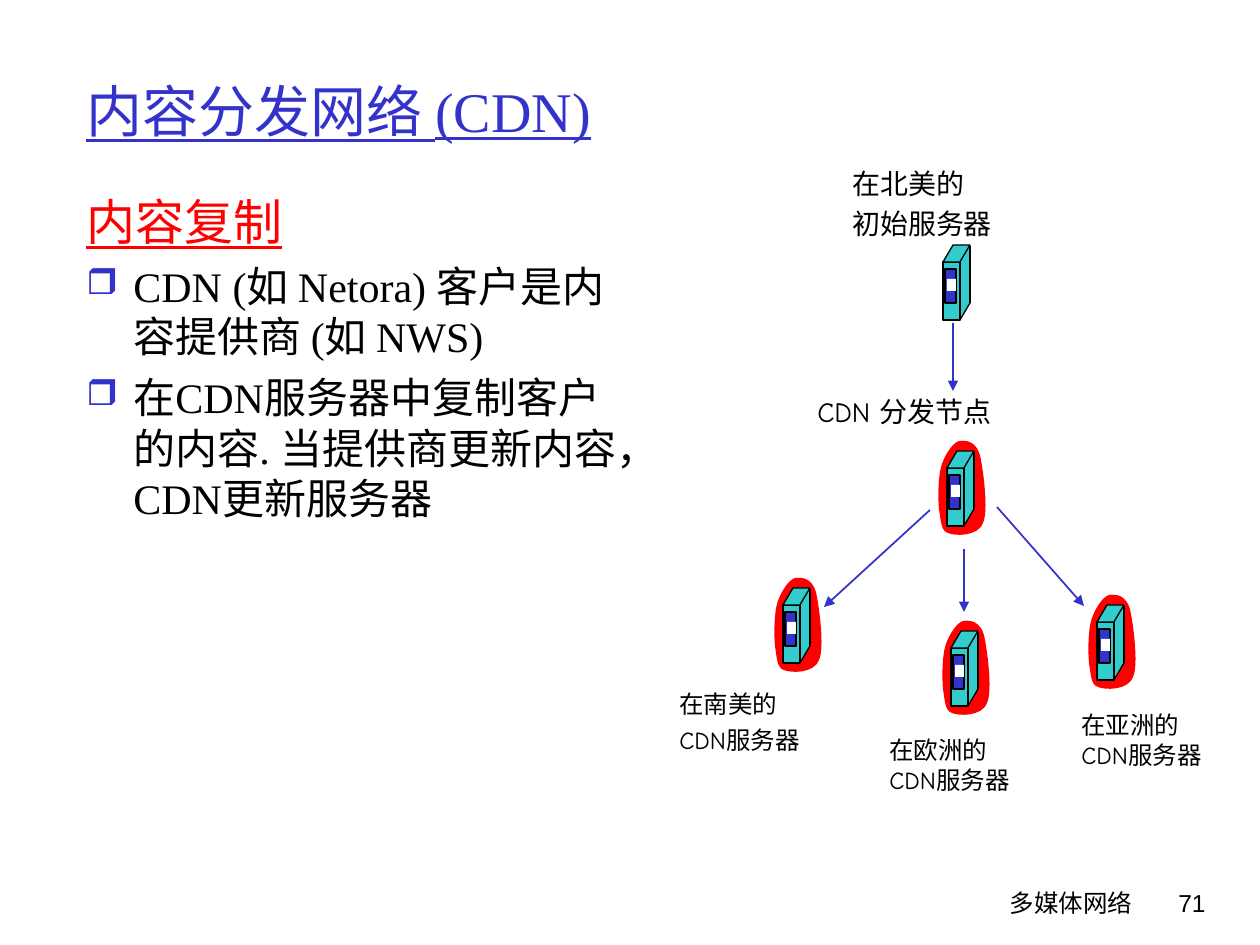
import pptx
import pptx.dml.color
import pptx.enum.shapes
import pptx.enum.text
import pptx.oxml.ns
import pptx.util
from lxml import etree

EMU_PER_PX = 914400 / 126
BLUE, TEAL, RED, BLACK, WHITE = "3333CC", "33CCCC", "FF0000", "000000", "FFFFFF"
SERIF, SANS, COMIC = "Times New Roman", "Arial", "Comic Neue"
RECTANGLE = pptx.enum.shapes.MSO_SHAPE.RECTANGLE
PARALLELOGRAM = pptx.enum.shapes.MSO_SHAPE.PARALLELOGRAM

TITLE = "内容分发网络 (CDN)"
HEADING = "内容复制"
BULLETS = [
    "CDN (如 Netora) 客户是内容提供商 (如 NWS)",
    "在CDN服务器中复制客户的内容. 当提供商更新内容，CDN更新服务器",
]
BULLET_INDENT = 47
FOOTERS = [("多媒体网络", COMIC, (613, 882, 532, 63)), ("71", SANS, (1125, 882, 93, 63))]

# lines, box, size in points, space before in points
LABELS = [
    (["在北美的", "初始服务器"], (840, 160, 175, 87), 16, 4),
    (["CDN 分发节点"], (805, 388, 215, 47), 16, 4),
    (["在南美的", "CDN服务器"], (667, 683, 161, 113), 14, 3.5),
    (["在欧洲的", "CDN服务器"], (877, 729, 161, 72), 14, 0),
    (["在亚洲的", "CDN服务器"], (1069, 704, 161, 72), 14, 0),
]

# left, top, inside the CDN
SERVERS = [
    (943, 245, False),
    (947, 451, True),
    (783, 588, True),
    (951, 631, True),
    (1097, 605, True),
]
# shape, box relative to the server, fill, outlined
SERVER_PARTS = [
    (PARALLELOGRAM, (0, 58, 27, 17), TEAL, False),
    (RECTANGLE, (14, 0, 13, 58), TEAL, False),
    (RECTANGLE, (0, 17, 17, 58), TEAL, True),
    (PARALLELOGRAM, (0, 0, 27, 17), TEAL, True),
    (RECTANGLE, (2, 24, 11, 34), BLUE, True),
    (RECTANGLE, (4, 34, 9, 12), WHITE, False),
]
SERVER_EDGES = [(27, 1, 27, 58), (27, 58, 17, 75)]
HALO_OFFSET = (-9, -11)
HALO_START = (4, 24)
# two control points and the end of each curve
HALO_CURVES = [
    ((8, 13), (15, 3), (21, 1)),
    ((28, 0), (38, 1), (42, 15)),
    ((45, 28), (51, 71), (45, 83)),
    ((40, 97), (16, 96), (10, 93)),
    ((3, 91), (3, 81), (1, 69)),
    ((0, 58), (0, 35), (4, 24)),
]

ARROWS = [
    (953, 323, 953, 391),
    (930, 510, 824, 607),
    (964, 549, 964, 612),
    (997, 507, 1084, 606),
]


def px(length):
    return pptx.util.Emu(round(length * EMU_PER_PX))


def rgb(hex_string):
    return pptx.dml.color.RGBColor.from_string(hex_string)


def add_child(parent, tag, **attributes):
    return etree.SubElement(parent, pptx.oxml.ns.qn(tag), attributes)


def add_text(shapes, lines, box, size, font, color=BLACK, space_before=0):
    textbox = shapes.add_textbox(*map(px, box))
    frame = textbox.text_frame
    frame.word_wrap = True
    frame.text = "\n".join(lines)
    for index, paragraph in enumerate(frame.paragraphs):
        if index:
            paragraph.space_before = pptx.util.Pt(space_before)
        for run in paragraph.runs:
            run.font.size = pptx.util.Pt(size)
            run.font.name = font
            run.font.color.rgb = rgb(color)
    return frame


def underline(paragraph):
    for run in paragraph.runs:
        run.font.underline = True


def add_bullet(paragraph):
    properties = paragraph._p.get_or_add_pPr()
    properties.set("marL", str(px(BULLET_INDENT)))
    properties.set("indent", str(-px(BULLET_INDENT)))
    bullet_color = add_child(properties, "a:buClr")
    add_child(bullet_color, "a:srgbClr", val=BLUE)
    add_child(properties, "a:buSzPct", val="85000")
    add_child(properties, "a:buChar", char="❒")


def add_line(shapes, ends, color, width):
    line = shapes.add_connector(
        pptx.enum.shapes.MSO_CONNECTOR.STRAIGHT, *map(px, ends))
    line.line.color.rgb = rgb(color)
    line.line.width = pptx.util.Pt(width)
    add_child(line._element.spPr, "a:effectLst")
    return line


def paint(shape, fill, outlined):
    shape.shadow.inherit = False
    shape.fill.solid()
    shape.fill.fore_color.rgb = rgb(fill)
    if outlined:
        shape.line.color.rgb = rgb(BLACK)
        shape.line.width = pptx.util.Pt(0.75)
    else:
        shape.line.fill.background()


def add_halo(shapes, left, top):
    """Draw the curve points as a polygon, then join each three into a curve."""
    points = [HALO_START] + [point for curve in HALO_CURVES for point in curve]
    start, *others = [(px(left + x), px(top + y)) for x, y in points]
    builder = shapes.build_freeform(*start)
    builder.add_line_segments(others, close=True)
    halo = builder.convert_to_shape()
    segments = list(halo._element.iter(pptx.oxml.ns.qn("a:lnTo")))
    for first in range(0, len(segments), 3):
        curve = etree.Element(pptx.oxml.ns.qn("a:cubicBezTo"))
        segments[first].addprevious(curve)
        for segment in segments[first:first + 3]:
            curve.append(segment[0])
            segment.getparent().remove(segment)
    paint(halo, RED, False)


def add_server(shapes, left, top, in_cdn):
    server = shapes.add_group_shape().shapes
    if in_cdn:
        add_halo(server, left + HALO_OFFSET[0], top + HALO_OFFSET[1])
    for preset, (x, y, width, height), fill, outlined in SERVER_PARTS:
        part = server.add_shape(
            preset, px(left + x), px(top + y), px(width), px(height))
        if preset == PARALLELOGRAM:
            part.adjustments[0] = 0.59
        paint(part, fill, outlined)
    for x1, y1, x2, y2 in SERVER_EDGES:
        add_line(server, (left + x1, top + y1, left + x2, top + y2), BLACK, 0.75)


def main():
    presentation = pptx.Presentation()
    presentation.slide_width, presentation.slide_height = px(1260), px(945)
    shapes = presentation.slides.add_slide(presentation.slide_layouts[6]).shapes

    for words, font, box in FOOTERS:
        footer = add_text(shapes, [words], box, 14, font)
        footer.paragraphs[0].alignment = pptx.enum.text.PP_ALIGN.RIGHT

    title = add_text(shapes, [TITLE], (74, 31, 1106, 158), 32, SERIF, BLUE)
    title.vertical_anchor = pptx.enum.text.MSO_ANCHOR.MIDDLE
    underline(title.paragraphs[0])

    body = add_text(shapes, [HEADING] + BULLETS, (74, 185, 561, 677), 24, SERIF,
                    space_before=6)
    heading, *bullets = body.paragraphs
    underline(heading)
    heading.runs[0].font.size = pptx.util.Pt(28)
    heading.runs[0].font.color.rgb = rgb(RED)
    for bullet in bullets:
        add_bullet(bullet)

    for server in SERVERS:
        add_server(shapes, *server)
    for lines, box, size, space_before in LABELS:
        add_text(shapes, lines, box, size, COMIC, space_before=space_before)
    for ends in ARROWS:
        arrow = add_line(shapes, ends, BLUE, 1)
        add_child(arrow.line._get_or_add_ln(), "a:tailEnd", type="triangle")

    presentation.save("out.pptx")


if __name__ == "__main__":
    main()
